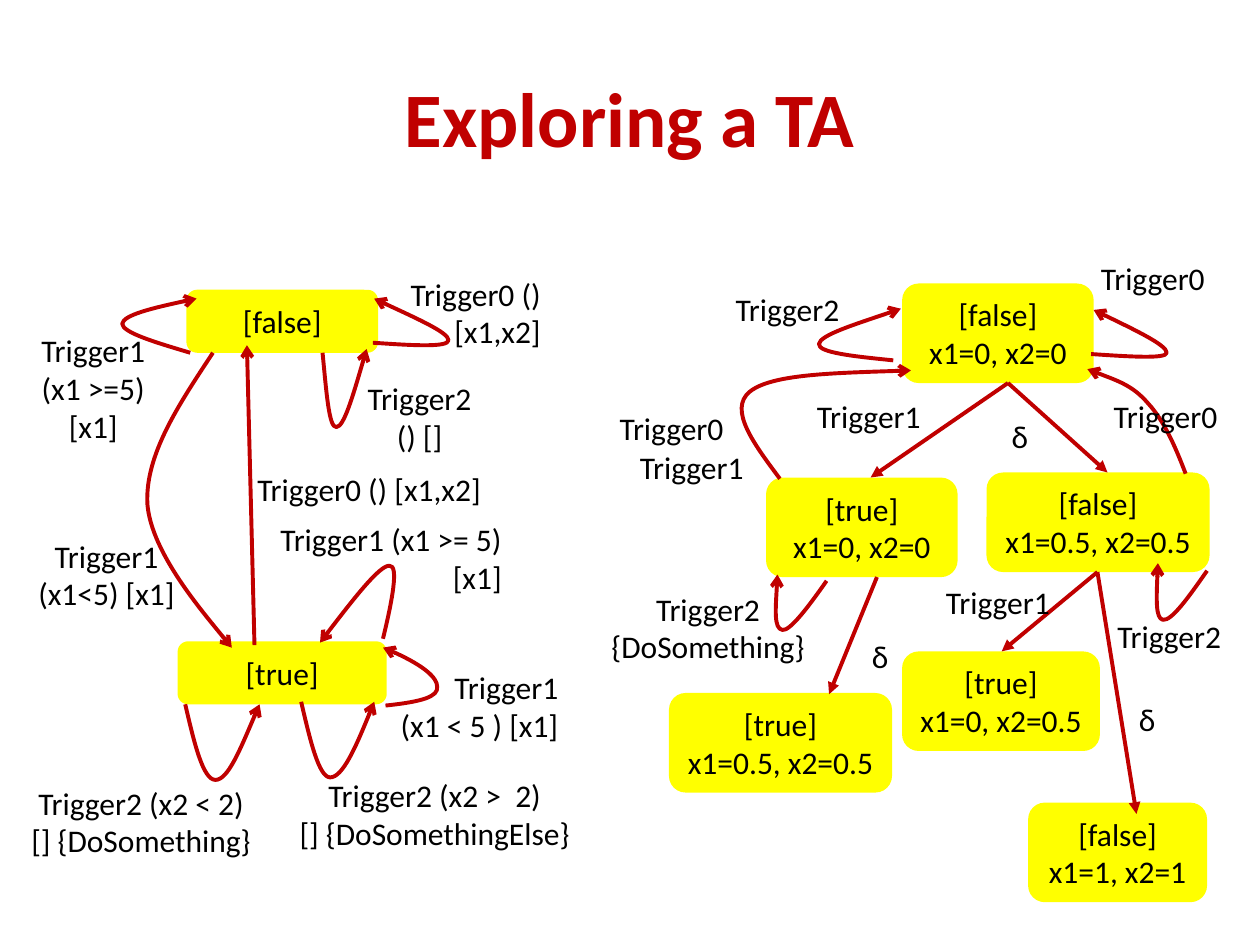
import pptx
import pptx.util
import pptx.dml.color
import pptx.enum.shapes
import pptx.enum.text
import pptx.oxml

PX = 9144  # EMU per px, 100 px to the inch
ALIGN = pptx.enum.text.PP_ALIGN
ANCHOR = pptx.enum.text.MSO_ANCHOR
THEME = {
    "red": pptx.dml.color.RGBColor(0xC0, 0x00, 0x00),
    "yellow": pptx.dml.color.RGBColor(0xFF, 0xFF, 0x00),
    "black": pptx.dml.color.RGBColor(0x00, 0x00, 0x00),
    "font": "Calibri",
    "title_size": pptx.util.Pt(44),
    "body_size": pptx.util.Pt(18),
    "line_width": pptx.util.Pt(2.25),
}
TITLE_FONT = {"name": THEME["font"], "size": THEME["title_size"], "bold": True}
BODY_FONT = {"name": THEME["font"], "size": THEME["body_size"]}

# ---- Content ----
TITLE = ("Exploring a TA", 50, 30, 900, 125)

# States: text, left, top, width
STATES = [
    ("[false]", 148, 230, 152),
    ("[true]", 141, 509, 166),
    ("[false]\nx1=0, x2=0", 716, 225, 152),
    ("[true]\nx1=0, x2=0", 608, 379, 152),
    ("[false]\nx1=0.5, x2=0.5", 783, 375, 177),
    ("[true]\nx1=0.5, x2=0.5", 531, 550, 177),
    ("[true]\nx1=0, x2=0.5", 716, 517, 157),
    ("[false]\nx1=1, x2=1", 816, 637, 142),
]

# Curved transitions: start, then control, control, end for each segment
CURVES = [
    # Timed automaton
    [(296, 272), (326, 274), (356, 276), (356, 270), (356, 264), (327, 251), (297, 237)],
    [(169, 280), (142, 321), (115, 361), (117, 400), (120, 439), (184, 514), (184, 514)],
    [(151, 280), (124, 272), (97, 264), (97, 257), (98, 250), (127, 243), (156, 237)],
    [(147, 559), (154, 589), (161, 619), (171, 619), (181, 619), (193, 589), (206, 559)],
    [(239, 557), (246, 587), (253, 617), (262, 617), (272, 617), (285, 587), (297, 557)],
    [(304, 507), (311, 478), (317, 448), (309, 449), (301, 449), (277, 480), (254, 510)],
    [(306, 560), (335, 557), (348, 553), (347, 545), (347, 538), (334, 526), (304, 514)],
    [(256, 280), (259, 310), (261, 340), (267, 339), (273, 339), (282, 308), (291, 277)],
    # Explored states
    [(866, 281), (896, 283), (926, 285), (926, 280), (926, 274), (897, 260), (868, 246)],
    [(709, 286), (679, 283), (649, 280), (650, 273), (651, 266), (683, 256), (715, 245)],
    [(619, 380), (598, 352), (578, 325), (595, 311), (612, 297), (667, 296), (723, 294)],
    [(656, 461), (642, 481), (627, 501), (621, 500), (614, 499), (616, 477), (617, 456)],
    [(941, 376), (933, 355), (924, 334), (911, 320), (899, 306), (881, 300), (863, 293)],
    [(958, 453), (944, 473), (930, 493), (923, 492), (917, 491), (918, 469), (919, 447)],
]

# Straight transitions: from, to, arrowhead
STRAIGHTS = [
    ((202, 512), (196, 274), "arrow"),
    ((800, 304), (691, 379), "triangle"),
    ((800, 304), (879, 375), "triangle"),
    ((696, 458), (658, 551), "triangle"),
    ((871, 454), (795, 517), "triangle"),
    ((871, 454), (902, 646), "triangle"),
]

# Labels: text, left, top, width, height, alignment ("\v" is a line break)
LABELS = [
    ("Trigger0 () [x1,x2]", 299, 213, 140, 71, ALIGN.RIGHT),
    ("Trigger1\n(x1<5) [x1]", -25, 421, 219, 71, ALIGN.CENTER),
    ("Trigger1\n(x1 >=5)\v[x1]", -1, 258, 150, 101, ALIGN.CENTER),
    ("Trigger2 (x2 < 2)\n[] {DoSomething}", -25, 617, 274, 71, ALIGN.CENTER),
    ("Trigger2 (x2 >  2)\n[] {DoSomethingElse}", 216, 611, 258, 71, ALIGN.CENTER),
    ("Trigger0 () [x1,x2]", 174, 368, 238, 40, ALIGN.CENTER),
    ("Trigger1 (x1 >= 5)\v[x1]", 166, 408, 242, 71, ALIGN.RIGHT),
    ("Trigger1\n(x1 < 5 ) [x1]", 299, 525, 154, 71, ALIGN.RIGHT),
    ("Trigger2\n() []", 274, 296, 118, 71, ALIGN.CENTER),
    ("Trigger0", 856, 201, 118, 40, ALIGN.CENTER),
    ("Trigger2", 566, 225, 118, 40, ALIGN.CENTER),
    ("Trigger1", 599, 310, 181, 40, ALIGN.CENTER),
    ("δ", 766, 326, 87, 40, ALIGN.CENTER),
    ("Trigger0", 474, 320, 118, 40, ALIGN.CENTER),
    ("Trigger1", 490, 351, 118, 40, ALIGN.CENTER),
    ("Trigger2\v{DoSomething}", 474, 463, 176, 71, ALIGN.CENTER),
    ("δ", 655, 501, 87, 40, ALIGN.CENTER),
    ("Trigger0", 866, 310, 118, 40, ALIGN.CENTER),
    ("Trigger1", 733, 458, 118, 40, ALIGN.CENTER),
    ("Trigger2", 840, 485, 176, 40, ALIGN.CENTER),
    ("δ", 867, 551, 87, 40, ALIGN.CENTER),
]


# ---- Helpers ----
def emu(*lengths):
    return [length * PX for length in lengths]


def apply_format(target, values):
    for name, value in values.items():
        setattr(target, name, value)


def write_text(shape, text, font, color, align, frame_format):
    frame = shape.text_frame
    frame.text = text
    apply_format(frame, frame_format)
    for paragraph in frame.paragraphs:
        paragraph.alignment = align
        for run in paragraph.runs:
            apply_format(run.font, font)
            run.font.color.rgb = color


def add_text(slide, text, box, font, color, align, anchor):
    shape = slide.shapes.add_textbox(*emu(*box))
    write_text(shape, text, font, color, align,
               {"word_wrap": True, "vertical_anchor": anchor})


def add_state(slide, text, left, top, width):
    height = 79 if "\n" in text else 50
    shape = slide.shapes.add_shape(
        pptx.enum.shapes.MSO_SHAPE.ROUNDED_RECTANGLE, *emu(left, top, width, height))
    shape.shadow.inherit = False
    shape.fill.solid()
    shape.fill.fore_color.rgb = THEME["yellow"]
    shape.line.fill.background()
    write_text(shape, text, BODY_FONT, THEME["black"], ALIGN.CENTER,
               {"word_wrap": False, "vertical_anchor": ANCHOR.MIDDLE})


def style_arrow(shape, head):
    shape.line.color.rgb = THEME["red"]
    shape.line.width = THEME["line_width"]
    line = shape.line._get_or_add_ln()
    line.append(pptx.oxml.parse_xml(
        '<a:tailEnd xmlns:a="http://schemas.openxmlformats.org/drawingml/2006/main"'
        f' type="{head}"/>'))


def add_curve(slide, points):
    builder = slide.shapes.build_freeform(*points[0], scale=PX)
    builder.add_line_segments(points[1:], close=False)
    shape = builder.convert_to_shape()
    # Each three line segments become one Bezier segment
    segments = shape._element.xpath(".//a:lnTo")
    for index in range(0, len(segments), 3):
        group = segments[index:index + 3]
        bezier = group[0].makeelement(group[0].tag.replace("lnTo", "cubicBezTo"))
        group[0].addprevious(bezier)
        for segment in group:
            bezier.append(segment[0])
            segment.getparent().remove(segment)
    shape.shadow.inherit = False
    shape.fill.background()
    style_arrow(shape, "arrow")


def add_straight(slide, start, end, head):
    connector = slide.shapes.add_connector(
        pptx.enum.shapes.MSO_CONNECTOR.STRAIGHT, *emu(*start, *end))
    style_arrow(connector, head)
    connector._element.spPr.append(pptx.oxml.parse_xml(
        '<a:effectLst xmlns:a="http://schemas.openxmlformats.org/drawingml/2006/main"/>'))


# ---- Slide ----
def main():
    presentation = pptx.Presentation()
    presentation.slide_width, presentation.slide_height = emu(1000, 750)
    slide = presentation.slides.add_slide(presentation.slide_layouts[6])

    title, *box = TITLE
    add_text(slide, title, box, TITLE_FONT, THEME["red"], ALIGN.CENTER, ANCHOR.MIDDLE)
    for state in STATES:
        add_state(slide, *state)
    for points in CURVES:
        add_curve(slide, points)
    for straight in STRAIGHTS:
        add_straight(slide, *straight)
    for text, *box, align in LABELS:
        add_text(slide, text, box, BODY_FONT, THEME["black"], align, ANCHOR.TOP)

    presentation.save("out.pptx")


if __name__ == "__main__":
    main()
